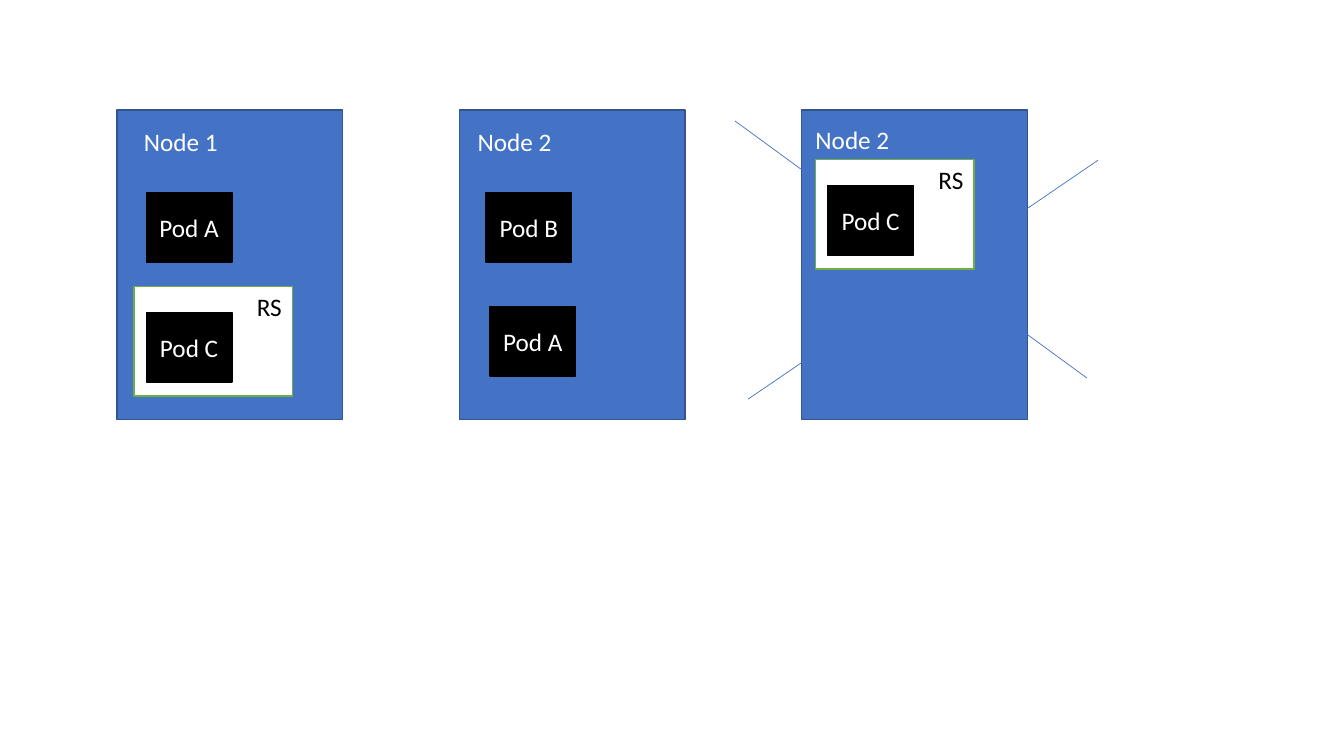
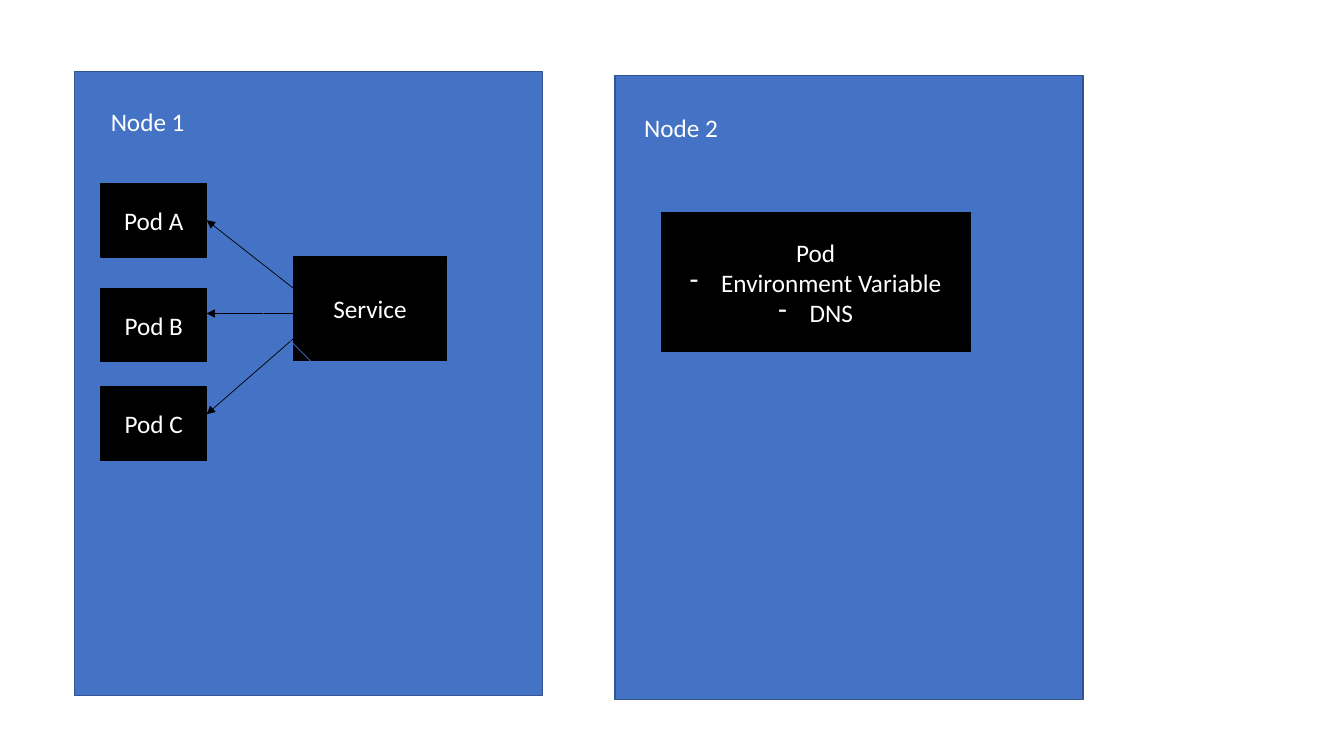
import pptx
import pptx.util
import pptx.dml.color
import pptx.enum.shapes
import pptx.enum.text
import pptx.oxml.ns
from dataclasses import dataclass
from lxml import etree
from pptx.util import Inches


@dataclass(frozen=True)
class Theme:
    font: str = "Calibri"
    size: int = 18
    edge: float = 1
    thin: float = 0.5
    blue: str = "4472C4"
    navy: str = "325491"
    green: str = "70AD47"
    black: str = "000000"
    white: str = "FFFFFF"


theme = Theme()
rgb = pptx.dml.color.RGBColor.from_string
qn = pptx.oxml.ns.qn


def box(page, at, text="", fill=None, edge=None, ink=theme.white):
    """Draw a filled box, or a plain label when there is no fill."""
    place = [Inches(n) for n in at]
    if fill:
        shape = page.shapes.add_shape(pptx.enum.shapes.MSO_SHAPE.RECTANGLE, *place)
        shape.shadow.inherit = False
        shape.fill.solid()
        shape.fill.fore_color.rgb = rgb(fill)
        shape.line.color.rgb = rgb(edge or fill)
        shape.line.width = pptx.util.Pt(theme.edge)
    else:
        shape = page.shapes.add_textbox(*place)
    frame = shape.text_frame
    frame.word_wrap = True
    if fill:
        frame.vertical_anchor = pptx.enum.text.MSO_ANCHOR.MIDDLE
    else:
        frame.auto_size = pptx.enum.text.MSO_AUTO_SIZE.SHAPE_TO_FIT_TEXT
    for i, words in enumerate(text.split("\n") if text else []):
        para = frame.add_paragraph() if i else frame.paragraphs[0]
        if fill:
            para.alignment = pptx.enum.text.PP_ALIGN.CENTER
        if i:  # lines after the first are dashed items
            props = para._p.get_or_add_pPr()
            props.set("marL", str(Inches(0.31)))
            props.set("indent", str(Inches(-0.31)))
            etree.SubElement(props, qn("a:buChar"), char="-")
        run = para.add_run()
        run.text = words
        run.font.name = theme.font
        run.font.size = pptx.util.Pt(theme.size)
        run.font.color.rgb = rgb(ink)
    return shape


def link(page, start, end, color, arrow=False):
    """Draw a thin straight line, with an arrowhead at its end if asked."""
    line = page.shapes.add_connector(
        pptx.enum.shapes.MSO_CONNECTOR.STRAIGHT,
        *[Inches(n) for n in start + end])
    line.line.color.rgb = rgb(color)
    line.line.width = pptx.util.Pt(theme.thin)
    if arrow:
        etree.SubElement(line.line._get_or_add_ln(), qn("a:tailEnd"), type="triangle")
    etree.SubElement(line._element.spPr, qn("a:effectLst"))
    return line


deck = pptx.Presentation()
deck.slide_width, deck.slide_height = Inches(13.33), Inches(7.5)
blank = deck.slide_layouts[6]

# Slide 1: pods and replica sets, with the third node crossed out
page = deck.slides.add_slide(blank)
nodes = [("Node 1", 1.33, 1.2), ("Node 2", 4.64, 1.2), ("Node 2", 7.99, 1.18)]
for i, (name, x, y) in enumerate(nodes):
    box(page, (1.16 + i * 3.395, 1.09, 2.24, 3.07), fill=theme.blue, edge=theme.navy)
    box(page, (x, y, 1.07, 0.4), name)

for name, x, y in [("Pod A", 1.45, 1.91), ("Pod B", 4.82, 1.91), ("Pod A", 4.86, 3.04)]:
    box(page, (x, y, 0.85, 0.69), name, theme.black)

# Cross
link(page, (7.29, 1.2), (10.78, 3.75), theme.blue)
link(page, (10.89, 1.59), (7.42, 3.96), theme.blue)

# Replica sets
for x, y in [(8.09, 1.58), (1.33, 2.84)]:
    box(page, (x, y, 1.57, 1.09), fill=theme.white, edge=theme.green)
    box(page, (x + 0.12, y + 0.26, 0.85, 0.69), "Pod C", theme.black)
    box(page, (x + 1.12, y, 0.5, 0.4), "RS", ink=theme.black)

# Slide 2: a service in front of three pods
page = deck.slides.add_slide(blank)
for name, x, y, left, top in [("Node 1", 0.74, 0.71, 1, 1.01),
                              ("Node 2", 6.1, 0.75, 6.29, 1.07)]:
    box(page, (x, y, 4.64, 6.19), fill=theme.blue, edge=theme.navy)
    box(page, (left, top, 1.61, 0.4), name)

pods = [box(page, (1, y, 1.05, 0.73), name, theme.black)
        for name, y in [("Pod A", 1.82), ("Pod B", 2.86), ("Pod C", 3.84)]]
box(page, (2.91, 2.55, 1.52, 1.03), "Service", theme.black)

# Arrows; only the first meets the middle of its pod's side
arrows = [link(page, (2.91, start), (2.05, end), theme.black, True)
          for start, end in [(2.86, 2.15), (3.11, 3.11), (3.36, 4.11)]]
arrows[0].end_connect(pods[0], 3)
link(page, (2.61, 3.11), (3.61, 4.11), theme.blue, True)

# Ways to find the service
box(page, (6.56, 2.11, 3.06, 1.38), "Pod\nEnvironment Variable\nDNS", theme.black)

deck.save("out.pptx")
